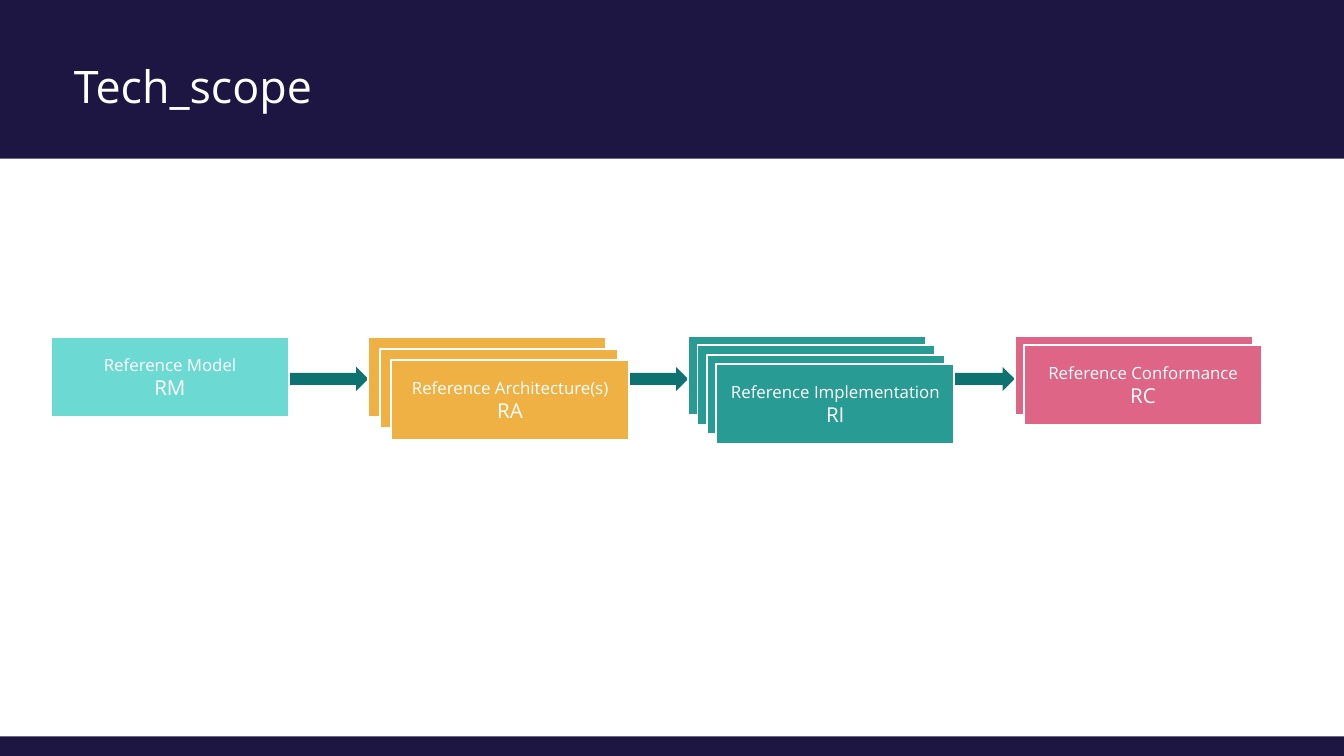
from dataclasses import dataclass

from pptx import Presentation
from pptx.dml.color import RGBColor
from pptx.enum.shapes import MSO_SHAPE as Preset
from pptx.enum.text import MSO_ANCHOR as Anchor, PP_ALIGN as Align
from pptx.util import Inches, Pt


@dataclass(frozen=True)
class Theme:
    font: str = "Open Sans"
    navy: str = "1D1643"
    white: str = "FFFFFF"
    arrow: str = "0E7271"
    aqua: str = "6DD9D3"
    amber: str = "F0B144"
    teal: str = "289B94"
    rose: str = "DE6586"
    title_size: int = 24
    name_size: int = 9
    code_size: int = 11


THEME = Theme()
SLIDE_WIDTH = 10
SLIDE_HEIGHT = SLIDE_WIDTH * 9 / 16
CARD_WIDTH, CARD_HEIGHT = 1.77, 0.59

# left, top, shift from first to last card, number of cards, colour, name, code
STAGES = [
    (0.38, 2.51, 0, 1, THEME.aqua, "Reference Model", "RM"),
    (2.74, 2.51, 0.17, 3, THEME.amber, "Reference Architecture(s)", "RA"),
    (5.12, 2.5, 0.21, 4, THEME.teal, "Reference Implementation", "RI"),
    (7.55, 2.5, 0.07, 2, THEME.rose, "Reference Conformance", "RC"),
]
ARROW_LEFTS = [6.96, 4.53, 2.15]


def write(paragraph, text, *, size, align=Align.CENTER):
    paragraph.alignment = align
    run = paragraph.add_run()
    run.text = text
    run.font.name = THEME.font
    run.font.size = Pt(size)
    run.font.color.rgb = RGBColor.from_string(THEME.white)


def set_insets(frame, side, end):
    frame.margin_left = frame.margin_right = Inches(side)
    frame.margin_top = frame.margin_bottom = Inches(end)


class SlideBuilder:
    def __init__(self, slide, theme):
        self.slide = slide
        self.theme = theme

    def background(self, color):
        fill = self.slide.background.fill
        fill.solid()
        fill.fore_color.rgb = RGBColor.from_string(color)

    def title(self, text, left, top, width, height):
        shape = self.slide.shapes.title
        shape.left, shape.top = Inches(left), Inches(top)
        shape.width, shape.height = Inches(width), Inches(height)
        frame = shape.text_frame
        frame.vertical_anchor = Anchor.MIDDLE
        set_insets(frame, 0.07, 0.04)
        write(frame.paragraphs[0], text, size=self.theme.title_size, align=Align.LEFT)

    def block(self, preset, left, top, width, height, fill, line=None):
        shape = self.slide.shapes.add_shape(
            preset, Inches(left), Inches(top), Inches(width), Inches(height))
        shape.shadow.inherit = False
        shape.fill.solid()
        shape.fill.fore_color.rgb = RGBColor.from_string(fill)
        if line:
            shape.line.color.rgb = RGBColor.from_string(line)
            shape.line.width = Pt(1)
        else:
            shape.line.fill.background()
        return shape

    def stack(self, left, top, spread, count, color, name, code):
        """Draw overlapping cards and label the front one."""
        for index in range(count):
            shift = spread * index / max(count - 1, 1)
            card = self.block(
                Preset.RECTANGLE, left + shift, top + shift,
                CARD_WIDTH, CARD_HEIGHT, color, self.theme.white)
        frame = card.text_frame
        frame.word_wrap = True
        frame.vertical_anchor = Anchor.MIDDLE
        set_insets(frame, 0.05, 0.05)
        write(frame.paragraphs[0], name, size=self.theme.name_size)
        write(frame.add_paragraph(), code, size=self.theme.code_size)


def main():
    presentation = Presentation()
    presentation.slide_width = Inches(SLIDE_WIDTH)
    presentation.slide_height = Inches(SLIDE_HEIGHT)
    slide = presentation.slides.add_slide(presentation.slide_layouts[5])
    builder = SlideBuilder(slide, THEME)

    builder.background(THEME.navy)
    builder.title("Tech_scope", 0.48, 0.22, 7.09, 0.83)
    builder.block(Preset.RECTANGLE, 0, 1.18, SLIDE_WIDTH, 4.3, THEME.white)
    for left in ARROW_LEFTS:
        builder.block(Preset.RIGHT_ARROW, left, 2.73, 0.59, 0.18, THEME.arrow)
    for stage in STAGES:
        builder.stack(*stage)

    presentation.save("out.pptx")


if __name__ == "__main__":
    main()
